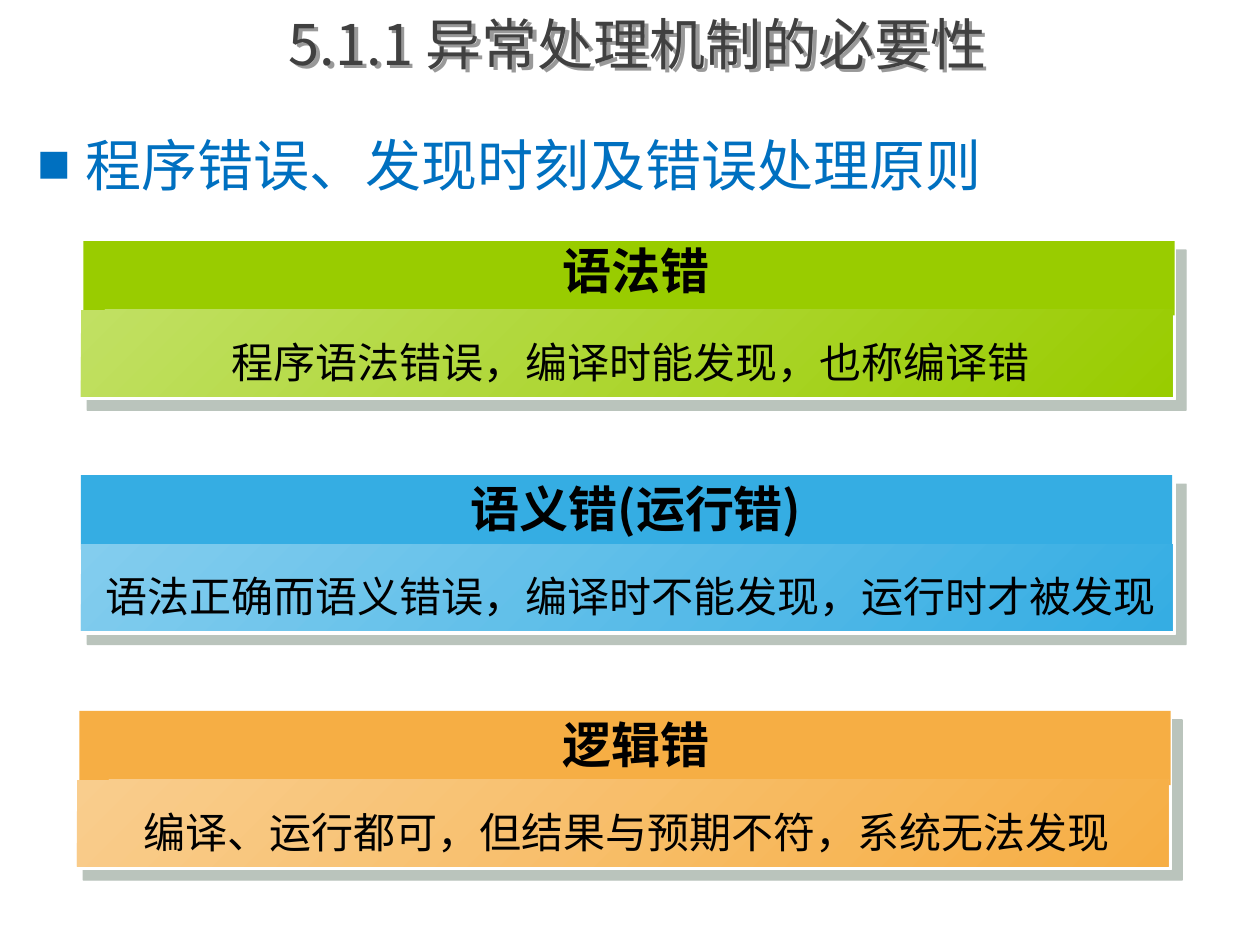
"""Build the slide on program errors: title, bullet and three error cards."""
import pptx
import pptx.dml.color
import pptx.enum.shapes
import pptx.enum.text
import pptx.oxml
import pptx.oxml.ns
import pptx.util

Cm, Pt = pptx.util.Cm, pptx.util.Pt
RGBColor = pptx.dml.color.RGBColor
MSO_ANCHOR, PP_ALIGN = pptx.enum.text.MSO_ANCHOR, pptx.enum.text.PP_ALIGN
RECT = pptx.enum.shapes.MSO_SHAPE.RECTANGLE

FONT = "Noto Sans CJK SC"
WHITE = RGBColor(0xFF, 0xFF, 0xFF)
BLACK = RGBColor(0, 0, 0)
GRAY = RGBColor(0x40, 0x40, 0x40)
BLUE = RGBColor(0x00, 0x70, 0xC0)
TITLE_SHADOW = RGBColor(0x80, 0x80, 0x80)
CARD_SHADOW = RGBColor(0x76, 0x8A, 0x7B)
GREEN, LIGHT_GREEN = RGBColor(0x99, 0xCC, 0x00), RGBColor(0xC1, 0xE0, 0x63)
SKY, LIGHT_SKY = RGBColor(0x35, 0xAD, 0xE3), RGBColor(0x83, 0xCD, 0xEE)
ORANGE, LIGHT_ORANGE = RGBColor(0xF6, 0xAE, 0x44), RGBColor(0xF9, 0xCD, 0x8D)

TITLE = "5.1.1 异常处理机制的必要性"
TOPIC = "程序错误、发现时刻及错误处理原则"
CARDS = [
    dict(heading="语法错", detail="程序语法错误，编译时能发现，也称编译错",
         left=1.55, top=4.83, band_left=1.68, heading_rise=0.1, colors=(LIGHT_GREEN, GREEN)),
    dict(heading="语义错(运行错)", detail="语法正确而语义错误，编译时不能发现，运行时才被发现",
         left=1.55, top=9.55, band_left=1.63, heading_rise=0.03, colors=(LIGHT_SKY, SKY)),
    dict(heading="逻辑错", detail="编译、运行都可，但结果与预期不符，系统无法发现",
         left=1.47, top=14.3, band_left=1.6, heading_rise=0.03, colors=(LIGHT_ORANGE, ORANGE)),
]


def add_xml(parent, tag, body="", **attrs):
    ns = pptx.oxml.ns.nsdecls("a")
    pairs = " ".join(f'{k}="{v}"' for k, v in attrs.items())
    parent.append(pptx.oxml.parse_xml(f"<a:{tag} {ns} {pairs}>{body}</a:{tag}>"))


def add_shadow(sp, color, alpha, dist):
    sp.shadow.inherit = True
    add_xml(sp._element.spPr, "effectLst",
            f'<a:outerShdw blurRad="0" dist="{Pt(dist)}" dir="2700000" algn="ctr" rotWithShape="0">'
            f'<a:srgbClr val="{color}"><a:alpha val="{alpha * 1000}"/></a:srgbClr></a:outerShdw>')


def add_rect(shapes, box, color, line=None):
    sp = shapes.add_shape(RECT, *map(Cm, box))
    sp.shadow.inherit = False
    sp.fill.solid()
    sp.fill.fore_color.rgb = color
    if line is None:
        sp.line.fill.background()
    else:
        sp.line.color.rgb = line
        sp.line.width = Pt(0.75)
    return sp


def write(sp, text, size, color, bold=False, align=PP_ALIGN.CENTER, anchor=MSO_ANCHOR.TOP):
    tf = sp.text_frame
    tf.word_wrap = True
    tf.vertical_anchor = anchor
    p = tf.paragraphs[0]
    p.alignment = align
    r = p.add_run()
    r.text = text
    r.font.size, r.font.bold, r.font.name = Pt(size), bold, FONT
    r.font.color.rgb = color
    add_xml(r.font._element, "ea", typeface=FONT)
    return p


def add_text(shapes, box, text, size, color, **style):
    sp = shapes.add_textbox(*map(Cm, box))
    write(sp, text, size, color, **style)
    return sp


def add_topic(shapes):
    sp = add_rect(shapes, (0.51, 2.51, 24.41, 16.21), WHITE)
    add_xml(sp.fill._xPr.solidFill.srgbClr, "alpha", val=81000)
    p = write(sp, TOPIC, 32, BLUE, align=PP_ALIGN.LEFT)
    pPr = p._p.get_or_add_pPr()
    pPr.set("marL", str(Cm(0.96)))
    pPr.set("indent", str(-Cm(0.96)))
    add_xml(pPr, "buClr", f'<a:srgbClr val="{BLUE}"/>')
    add_xml(pPr, "buSzPct", val=60000)
    add_xml(pPr, "buFont", typeface=FONT)
    add_xml(pPr, "buChar", char="■")


def add_card(shapes, heading, detail, left, top, band_left, heading_rise, colors):
    group = shapes.add_group_shape().shapes
    frame = add_rect(group, (left, top, 22.15, 3.23), WHITE, WHITE)
    add_shadow(frame, CARD_SHADOW, 50, 8.5)
    add_rect(group, (band_left, top + 0.03, 22, 1.5), colors[1])
    body = add_rect(group, (left + 0.08, top + 1.42, 22, 1.75), colors[1])
    body.fill.gradient()
    body.fill.gradient_angle = 315
    for stop, color, position in zip(body.fill.gradient_stops, colors, (0, 1)):
        stop.color.rgb = color
        stop.position = position
    add_text(group, (left + 0.13, top + 1.83, 22.05, 1.27), detail, 24, BLACK)
    add_text(group, (6.17, top - heading_rise, 13.31, 1.45), heading, 28, BLACK, bold=True)


def main():
    prs = pptx.Presentation()
    prs.slide_width, prs.slide_height = Cm(25.4), Cm(19.05)
    s = prs.slides.add_slide(prs.slide_layouts[6])
    add_topic(s.shapes)
    title = add_text(s.shapes, (1.83, 0, 22.05, 1.73), TITLE, 32, GRAY, anchor=MSO_ANCHOR.MIDDLE)
    title.fill.background()
    add_shadow(title, TITLE_SHADOW, 80, 3)
    for card in CARDS:
        add_card(s.shapes, **card)
    prs.save("out.pptx")


if __name__ == "__main__":
    main()
